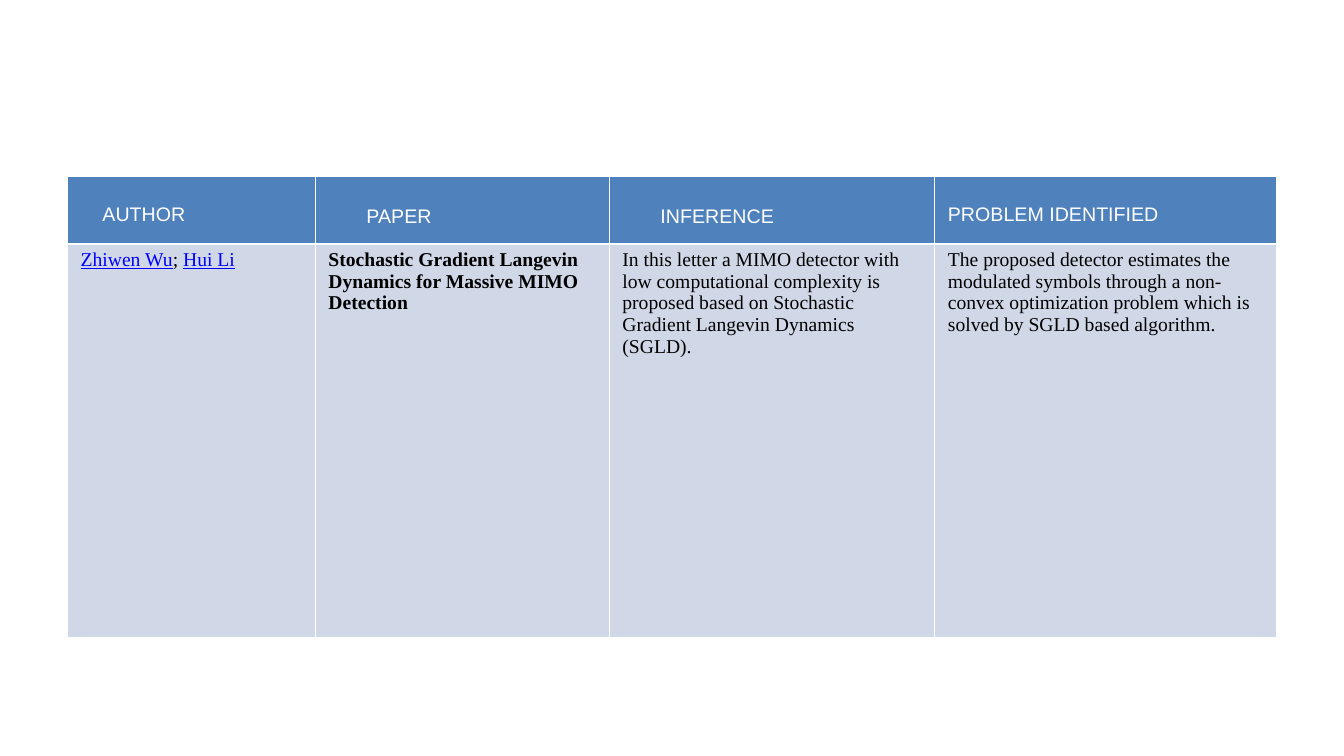
"""Build a literature survey slide holding one four-column table."""
from dataclasses import dataclass

from lxml.etree import SubElement
from pptx import Presentation
from pptx.dml.color import RGBColor
from pptx.oxml.ns import qn
from pptx.table import _Cell
from pptx.util import Pt

WHITE, BLACK, LINK = "FFFFFF", "000000", "0000FF"
HEAD, BODY = "4F81BD", "D0D8E8"
SIDE, EDGE = 9.36, 3.6
ROWS = (48.3, 280.8)


@dataclass
class Piece:
    """One run of cell text."""
    text: str
    color: str = BLACK
    bold: bool = False
    line: bool = False


@dataclass
class Column:
    """One table column: its header and its body."""
    width: float
    title: str
    shift: float
    top: float
    body: list[Piece]


COLUMNS = [
    Column(177, "AUTHOR", 15.6, 19.7, [
        Piece("Zhiwen Wu", LINK, line=True),
        Piece("; "),
        Piece("Hui Li", LINK, line=True)]),
    Column(210, "PAPER", 27.2, 21.1, [
        Piece("Stochastic Gradient Langevin Dynamics for Massive MIMO "
              "Detection", bold=True)]),
    Column(232.5, "INFERENCE", 27.2, 21.1, [
        Piece("In this letter a MIMO detector with low computational "
              "complexity is proposed based on Stochastic Gradient "
              "Langevin Dynamics (SGLD).")]),
    Column(244.5, "PROBLEM IDENTIFIED", 0, 19.7, [
        Piece("The proposed detector estimates the modulated symbols "
              "through a non-convex optimization problem which is solved "
              "by SGLD based algorithm.")]),
]


def color(code: str) -> RGBColor:
    """Turn a hex string into a colour."""
    return RGBColor.from_string(code)


def border(cell: _Cell) -> None:
    """Draw thin white lines on all sides of a cell."""
    props = cell._tc.get_or_add_tcPr()
    for spot, side in enumerate(("a:lnL", "a:lnR", "a:lnT", "a:lnB")):
        line = SubElement(props, qn(side), w=str(Pt(1)))
        fill = SubElement(line, qn("a:solidFill"))
        SubElement(fill, qn("a:srgbClr"), val=WHITE)
        props.insert(spot, line)


def fill_cell(cell: _Cell, body: list[Piece], back: str, font: str,
              left: float = SIDE, top: float = EDGE) -> None:
    """Set the fill, insets, lines and text of a cell."""
    cell.fill.solid()
    cell.fill.fore_color.rgb = color(back)
    cell.margin_left, cell.margin_right = Pt(left), Pt(SIDE)
    cell.margin_top, cell.margin_bottom = Pt(top), Pt(EDGE)
    border(cell)
    para = cell.text_frame.paragraphs[0]
    for piece in body:
        run = para.add_run()
        run.text = piece.text
        run.font.name = font
        run.font.size = Pt(14)
        run.font.bold = piece.bold
        run.font.underline = piece.line
        run.font.color.rgb = color(piece.color)


def main() -> None:
    """Create the slide and save it."""
    deck = Presentation()
    deck.slide_width, deck.slide_height = Pt(960), Pt(540)
    slide = deck.slides.add_slide(deck.slide_layouts[6])
    width = sum(col.width for col in COLUMNS)
    table = slide.shapes.add_table(
        len(ROWS), len(COLUMNS), Pt(48.24), Pt(126),
        Pt(width), Pt(sum(ROWS))).table
    table.horz_banding = False
    for row, height in zip(table.rows, ROWS):
        row.height = Pt(height)
    for spot, col in enumerate(COLUMNS):
        table.columns[spot].width = Pt(col.width)
        fill_cell(table.cell(0, spot), [Piece(col.title, WHITE)], HEAD,
                  "Arial", SIDE + col.shift, col.top)
        fill_cell(table.cell(1, spot), col.body, BODY, "Times New Roman")
    deck.save("out.pptx")


if __name__ == "__main__":
    main()
